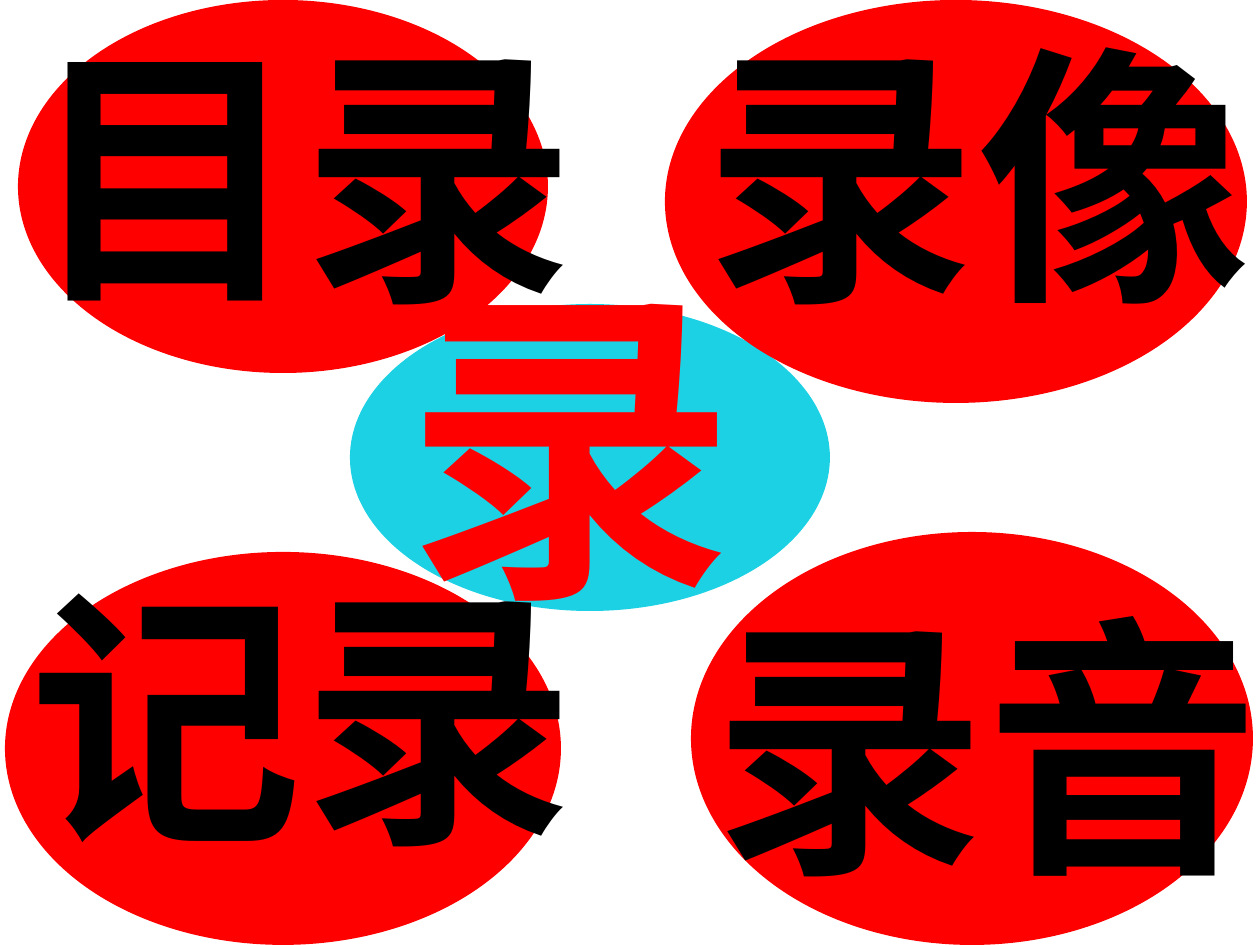
"""Build a slide of words that share the character 录."""
from pptx import Presentation
from pptx.dml.color import RGBColor
from pptx.enum.shapes import MSO_SHAPE
from pptx.enum.text import MSO_ANCHOR, MSO_AUTO_SIZE, PP_ALIGN
from pptx.util import Emu, Pt

PX = 914400 // 126
THEME = {
    "word_oval": RGBColor(0xFF, 0x00, 0x00),
    "core_oval": RGBColor(0x1C, 0xD1, 0xE4),
    "word": {"size": Pt(156), "color": RGBColor(0x00, 0x00, 0x00)},
    "core": {"size": Pt(189), "color": RGBColor(0xFF, 0x00, 0x00)},
    "font": {"name": "Times New Roman", "bold": True},
}


def place(*lengths):
    return [Emu(length * PX) for length in lengths]


presentation = Presentation()
presentation.slide_width, presentation.slide_height = place(1260, 945)
slide = presentation.slides.add_slide(presentation.slide_layouts[6])

ovals = [
    ((18, 0, 530, 373), "word_oval"),
    ((691, 532, 562, 413), "word_oval"),
    ((5, 552, 556, 393), "word_oval"),
    ((350, 304, 480, 307), "core_oval"),
    ((665, 0, 582, 403), "word_oval"),
]
for bounds, color in ovals:
    oval = slide.shapes.add_shape(MSO_SHAPE.OVAL, *place(*bounds))
    oval.shadow.inherit = False
    oval.fill.solid()
    oval.fill.fore_color.rgb = THEME[color]
    oval.line.fill.background()

words = [
    ("录", (323, 234, 496, 410), "core"),
    ("目录", (0, 0, 605, 340), "word"),
    ("记录", (0, 542, 605, 340), "word"),
    ("录像", (660, 0, 635, 340), "word"),
    ("录音", (669, 572, 635, 340), "word"),
]
frame_format = {
    "word_wrap": True,
    "auto_size": MSO_AUTO_SIZE.SHAPE_TO_FIT_TEXT,
    "vertical_anchor": MSO_ANCHOR.TOP,
}
for word, bounds, style in words:
    frame = slide.shapes.add_textbox(*place(*bounds)).text_frame
    for attribute, value in frame_format.items():
        setattr(frame, attribute, value)
    line = frame.paragraphs[0]
    line.alignment = PP_ALIGN.CENTER
    run = line.add_run()
    run.text = word
    for attribute, value in {**THEME["font"], "size": THEME[style]["size"]}.items():
        setattr(run.font, attribute, value)
    run.font.color.rgb = THEME[style]["color"]

presentation.save("out.pptx")
